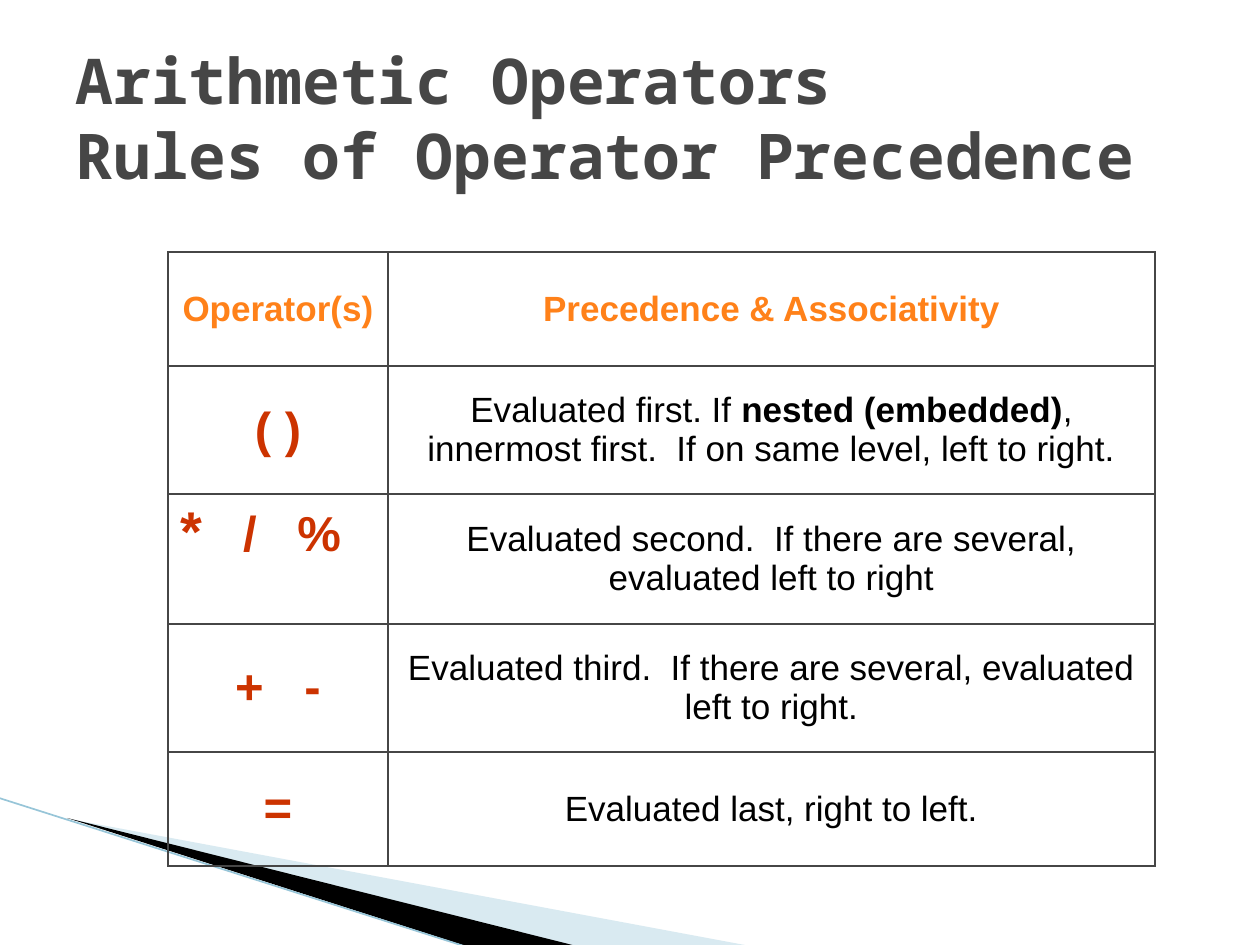
import lxml.etree
import pptx
import pptx.dml.color
import pptx.enum.shapes
import pptx.enum.text
import pptx.oxml.ns
import pptx.util

SCALE = 914400 / 126  # EMU per px
DARK, ORANGE, RED, BLACK = "464646", "FF8119", "CC3300", "000000"
ALIGN = pptx.enum.text.PP_ALIGN
ANCHOR = pptx.enum.text.MSO_ANCHOR
qn = pptx.oxml.ns.qn


def color(value):
    return pptx.dml.color.RGBColor.from_string(value)


def add_text(paragraph, text, size=20, fill=BLACK, bold=False, font="Arial"):
    run = paragraph.add_run()
    run.text = text
    run.font.name = font
    run.font.size = pptx.util.Pt(size)
    run.font.bold = bold
    run.font.color.rgb = color(fill)


presentation = pptx.Presentation()
presentation.slide_width = pptx.util.Inches(10)
presentation.slide_height = pptx.util.Inches(7.5)
slide = presentation.slides.add_slide(presentation.slide_layouts[5])
shapes = slide.shapes
title = shapes.title

# Wedges in the bottom left corner: points, colour, opacity in percent
wedges = [
    ([(69, 819), (750, 946), (575, 946)], "A0CBDC", 40),
    ([(67, 818), (576, 946), (469, 947)], BLACK, 100),
]
for points, fill, opacity in wedges:
    builder = shapes.build_freeform(*points[0], scale=SCALE)
    builder.add_line_segments(points[1:], close=True)
    wedge = builder.convert_to_shape()
    wedge.shadow.inherit = False
    wedge.line.fill.background()
    wedge.fill.solid()
    wedge.fill.fore_color.rgb = color(fill)
    if opacity < 100:
        tint = wedge.fill._xPr.find(".//" + qn("a:srgbClr"))
        lxml.etree.SubElement(tint, qn("a:alpha"), val=str(opacity * 1000))

# Thin line along the wedges
edge = shapes.add_connector(
    pptx.enum.shapes.MSO_CONNECTOR.STRAIGHT,
    *[round(value * SCALE) for value in (-1, 798, 467, 947)])
edge.line.color.rgb = color("97C5D8")
edge.line.width = pptx.util.Pt(0.95)
lxml.etree.SubElement(edge._element.spPr, qn("a:effectLst"))

# Title, in front of the wedges
shapes._spTree.append(title._element)
title.left, title.top, title.width, title.height = [
    round(value * SCALE) for value in (63, 38, 1134, 158)]
title.text_frame.auto_size = pptx.enum.text.MSO_AUTO_SIZE.NONE
title.text_frame.vertical_anchor = ANCHOR.MIDDLE
paragraph = title.text_frame.paragraphs[0]
paragraph.alignment = ALIGN.LEFT
for number, line in enumerate(["Arithmetic Operators ", "Rules of Operator Precedence"]):
    if number:
        paragraph.add_line_break()
    add_text(paragraph, line, size=36, fill=DARK, bold=True, font="Noto Sans Mono")

# Table contents: each cell is a list of (text, format) runs
header = {"fill": ORANGE, "bold": True}
symbol = {"size": 28, "fill": RED, "bold": True}
rows = [
    ([("Operator(s)", header)], [("Precedence & Associativity", header)]),
    ([("( )", symbol)],
     [("Evaluated first. If ", {}), ("nested (embedded)", {"bold": True}),
      (", innermost first.  If on same level, left to right.", {})]),
    ([("*", {**symbol, "size": 32}), ("   /   %", symbol)],
     [("Evaluated second.  If there are several, evaluated left to right", {})]),
    ([("+   -", symbol)],
     [("Evaluated third.  If there are several, evaluated left to right.", {})]),
    ([("=", symbol)], [("Evaluated last, right to left.", {})]),
]
column_widths = [220, 767]
row_heights = [114, 128, 130, 128, 114]

# Table with an even grid of dark borders
frame = shapes.add_table(
    len(rows), len(column_widths),
    *[round(value * SCALE) for value in (168, 252, sum(column_widths), sum(row_heights))])
table = frame.table
table.first_row = table.horz_banding = False
for column, width in zip(table.columns, column_widths):
    column.width = round(width * SCALE)
for row, height in zip(table.rows, row_heights):
    row.height = round(height * SCALE)

for row_index, contents in enumerate(rows):
    for column_index, runs in enumerate(contents):
        cell = table.cell(row_index, column_index)
        cell.vertical_anchor = ANCHOR.MIDDLE
        paragraph = cell.text_frame.paragraphs[0]
        paragraph.alignment = ALIGN.CENTER
        for text, style in runs:
            add_text(paragraph, text, **style)
        properties = cell._tc.get_or_add_tcPr()
        for side in ("a:lnL", "a:lnR", "a:lnT", "a:lnB"):
            border = lxml.etree.SubElement(properties, qn(side), w="12700")
            solid = lxml.etree.SubElement(border, qn("a:solidFill"))
            lxml.etree.SubElement(solid, qn("a:srgbClr"), val=DARK)
        cell.fill.background()

# The multiplicative operators sit at the top left of their cell
multiplicative = table.cell(2, 0)
multiplicative.vertical_anchor = ANCHOR.TOP
multiplicative.text_frame.paragraphs[0].alignment = ALIGN.LEFT

presentation.save("out.pptx")
